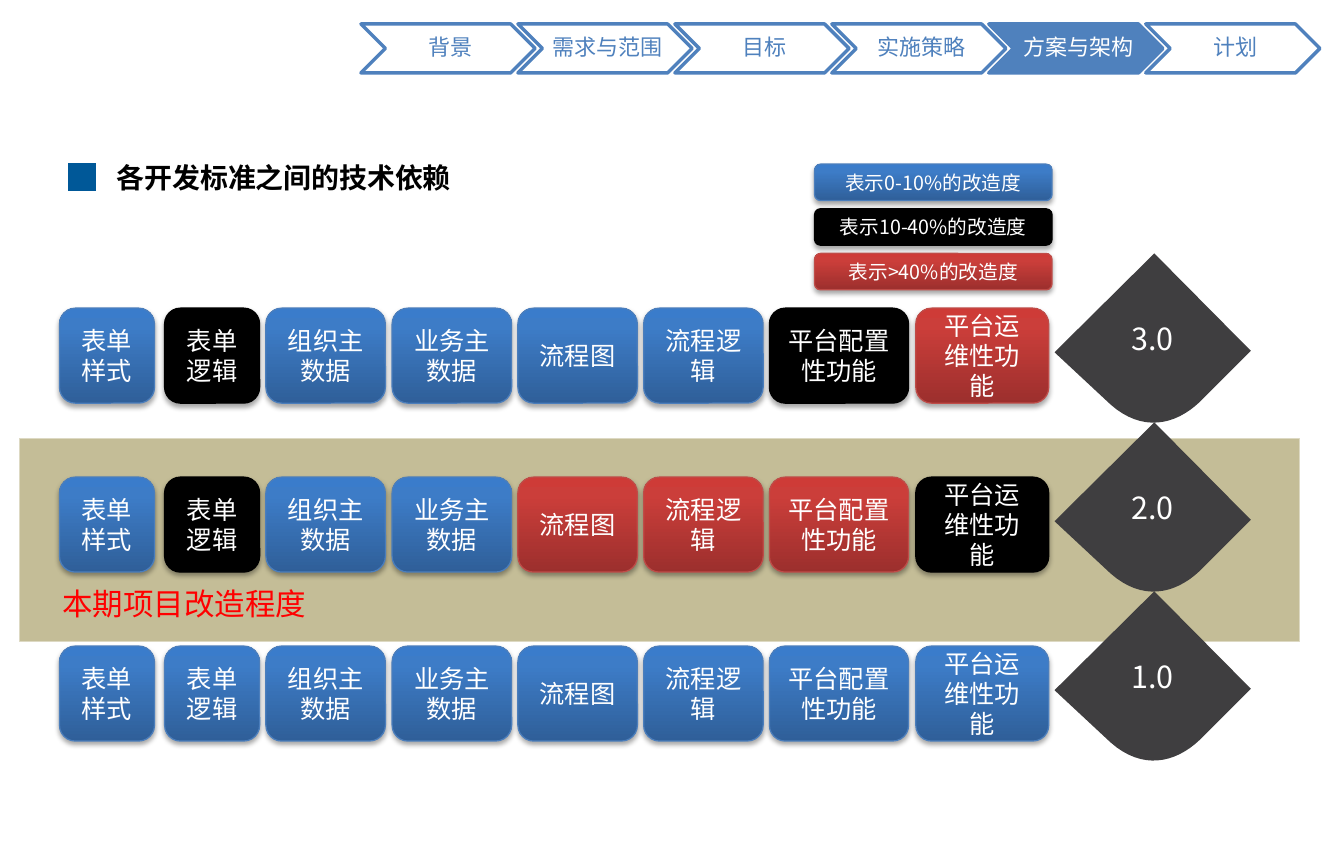
from pptx import Presentation
from pptx.dml.color import RGBColor
from pptx.enum.shapes import MSO_SHAPE
from pptx.enum.text import MSO_ANCHOR, MSO_AUTO_SIZE, PP_ALIGN
from pptx.oxml import parse_xml
from pptx.oxml.ns import nsdecls, qn
from pptx.util import Cm, Pt

CJK = "Noto Sans CJK SC"
STYLES = {
    "low": ([(0, "2F5F99"), (80, "3D7CC7"), (100, "3A7CCB")], "4B7EBC"),
    "mid": ([], "000000"),
    "high": ([(0, "9C2F2D"), (80, "CB3E3A"), (100, "CE3B37")], "BF4C48"),
}
LEGEND = [("表示0-10%的改造度", "low"), ("表示10-40%的改造度", "mid"),
          ("表示>40%的改造度", "high")]
STANDARDS = [
    ("表单\n样式", 1.24, 1.98), ("表单\n逻辑", 3.43, 1.98),
    ("组织主数据", 5.54, 2.49), ("业务主数据", 8.17, 2.49),
    ("流程图", 10.79, 2.49), ("流程逻辑", 13.41, 2.49),
    ("平台配置性功能", 16.03, 2.9), ("平台运维性功能", 19.08, 2.77),
]
VERSIONS = [
    ("3.0", "low mid low low low low mid high"),
    ("2.0", "low mid low low high high high mid"),
    ("1.0", "low low low low low low low low"),
]
STEPS = ["背景", "需求与范围", "目标", "实施策略", "方案与架构", "计划"]
CURRENT_STEP = "方案与架构"
ROW_STEP = 3.52


def rgb(value):
    """Return the colour for a hex string."""
    return RGBColor.from_string(value)


def apply(obj, values):
    """Set attributes of an object from a dict."""
    for name, value in values.items():
        setattr(obj, name, value)


def write(sp, text, size, color, font=CJK, align=PP_ALIGN.CENTER,
          bold=False, frame=None, para=None):
    """Write formatted text into a shape, one paragraph per line."""
    tf = sp.text_frame
    apply(tf, {"word_wrap": True, "vertical_anchor": MSO_ANCHOR.MIDDLE,
               **(frame or {})})
    tf.text = text
    for p in tf.paragraphs:
        apply(p, {"alignment": align, **(para or {})})
        for r in p.runs:
            apply(r.font, {"size": Pt(size), "name": font, "bold": bold})
            r.font.color.rgb = rgb(color)
            r.font._element.find(qn("a:latin")).addnext(
                parse_xml(f'<a:ea {nsdecls("a")} typeface="{CJK}"/>'))


def add_box(slide, kind, left, top, width, height, fill, line=None, weight=0.75):
    """Add a flat preset shape with a solid fill."""
    sp = slide.shapes.add_shape(kind, Cm(left), Cm(top), Cm(width), Cm(height))
    sp.shadow.inherit = False
    sp.fill.solid()
    sp.fill.fore_color.rgb = rgb(fill)
    if line:
        sp.line.color.rgb = rgb(line)
        sp.line.width = Pt(weight)
    else:
        sp.line.fill.background()
    return sp


def add_block(slide, text, style, left, top, width, height, size):
    """Add a rounded block with a style fill, a soft shadow and a label."""
    stops, line = STYLES[style]
    sp = add_box(slide, MSO_SHAPE.ROUNDED_RECTANGLE, left, top, width, height,
                 line, line)
    pr = sp._element.spPr
    if stops:
        gs = "".join(f'<a:gs pos="{pos * 1000}"><a:srgbClr val="{color}"/></a:gs>'
                     for pos, color in stops)
        pr.replace(pr.find(qn("a:solidFill")), parse_xml(
            f'<a:gradFill {nsdecls("a")} rotWithShape="1"><a:gsLst>{gs}</a:gsLst>'
            '<a:lin ang="16200000" scaled="0"/></a:gradFill>'))
    pr.replace(pr.find(qn("a:effectLst")), parse_xml(
        f'<a:effectLst {nsdecls("a")}><a:outerShdw blurRad="{Pt(3.1)}" '
        f'dist="{Pt(1.8)}" dir="5400000" rotWithShape="0"><a:srgbClr val="000000">'
        '<a:alpha val="35000"/></a:srgbClr></a:outerShdw></a:effectLst>'))
    write(sp, text, size, "FFFFFF")


def add_version(slide, text, left, top):
    """Add a dark diamond with a rounded bottom and a version number."""
    curve = [(1.17, 3.15), (1.83, 3.73), (2.51, 3.58), (3.02, 3.1)]
    points = [(0, 2.06)]
    for t in [i / 16 for i in range(17)]:
        weights = [(1 - t) ** 3, 3 * t * (1 - t) ** 2, 3 * t * t * (1 - t), t ** 3]
        points.append([sum(w * c[axis] for w, c in zip(weights, curve))
                       for axis in (0, 1)])
    points.append((4.09, 2.03))
    builder = slide.shapes.build_freeform(Cm(left + 2.08), Cm(top))
    builder.add_line_segments([(Cm(left + x), Cm(top + y)) for x, y in points])
    sp = builder.convert_to_shape()
    sp.shadow.inherit = False
    sp.fill.solid()
    sp.fill.fore_color.rgb = rgb("3F3E40")
    sp.line.fill.background()
    write(sp, text, 18, "FFFFFF")


def add_step(slide, text, left):
    """Add one chevron of the agenda bar."""
    fill, color = ("4F81BD", "FFFFFF") if text == CURRENT_STEP else ("FFFFFF", "4F81BD")
    sp = add_box(slide, MSO_SHAPE.CHEVRON, left, 0.5, 3.63, 1.02, fill, "4F81BD", 2)
    write(sp, text, 13, color, "Calibri", para={"line_spacing": 0.9},
          frame={"margin_left": Cm(0.15), "margin_right": Cm(0.05),
                 "margin_top": Cm(0.05), "margin_bottom": Cm(0.05)})


def add_title(slide, text):
    """Place the title next to its square marker."""
    add_box(slide, MSO_SHAPE.RECTANGLE, 1.42, 3.4, 0.58, 0.58, "005898")
    sp = slide.shapes.title
    apply(sp, {"left": Cm(2.18), "top": Cm(3.2), "width": Cm(10.59), "height": Cm(0.97)})
    write(sp, text, 16.5, "000000", align=PP_ALIGN.LEFT, bold=True,
          frame={"auto_size": MSO_AUTO_SIZE.NONE})


def add_note(slide, text):
    """Add the red caption of the highlighted band."""
    sp = slide.shapes.add_textbox(Cm(1.05), Cm(12.06), Cm(5.64), Cm(1.02))
    write(sp, text, 18, "FF0000", "Calibri", PP_ALIGN.LEFT,
          frame={"word_wrap": False, "auto_size": MSO_AUTO_SIZE.SHAPE_TO_FIT_TEXT,
                 "vertical_anchor": MSO_ANCHOR.TOP})


def main():
    """Build the slide and save it."""
    prs = Presentation()
    prs.slide_width = Cm(28)
    prs.slide_height = Cm(18)
    slide = prs.slides.add_slide(prs.slide_layouts[5])
    add_box(slide, MSO_SHAPE.RECTANGLE, 0.41, 9.14, 26.67, 4.22, "C4BD97", "DDD9C3")
    add_title(slide, "各开发标准之间的技术依赖")
    for row, (version, styles) in enumerate(VERSIONS):
        add_version(slide, version, 21.97, 5.28 + row * ROW_STEP)
        for (text, left, width), style in zip(STANDARDS, styles.split()):
            add_block(slide, text, style, left, 6.42 + row * ROW_STEP, width, 1.98, 14.9)
    for i, (text, style) in enumerate(LEGEND):
        add_block(slide, text, style, 16.97, 3.42 + i * 0.93, 4.95, 0.76, 11.6)
    add_note(slide, "本期项目改造程度")
    for i, text in enumerate(STEPS):
        add_step(slide, text, 7.52 + i * 3.27)
    prs.save("out.pptx")


if __name__ == "__main__":
    main()
